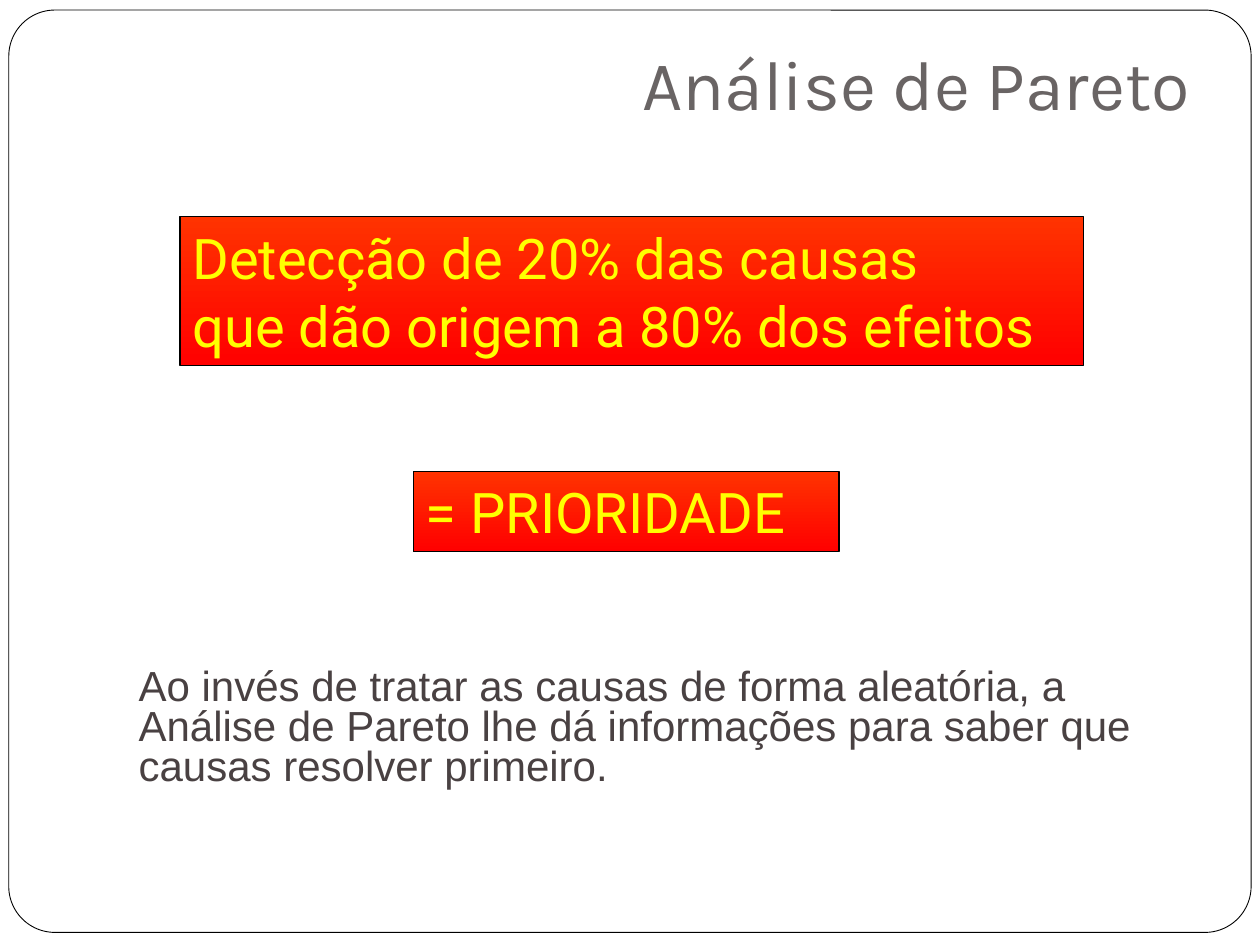
from dataclasses import dataclass

import pptx
import pptx.dml.color
import pptx.enum.shapes
import pptx.enum.text
import pptx.util

COLORS = {
    "paper": "FFFFFF",
    "outline": "000000",
    "title": "696464",
    "body": "494142",
    "highlight": "FFFF00",
    "banner_top": "FF3300",
    "banner_bottom": "FF0000",
}
CELL = 0.1  # inches: the slide is a grid of 100 columns by 75 rows
COLUMNS, ROWS = 100, 75
Shapes = pptx.enum.shapes.MSO_SHAPE
Anchor = pptx.enum.text.MSO_ANCHOR


@dataclass(frozen=True)
class Area:
    column: float
    row: float
    columns: float
    rows: float

    def lengths(self) -> list[int]:
        return [cells(n) for n in (self.column, self.row, self.columns, self.rows)]


@dataclass(frozen=True)
class Banner:
    area: Area
    lines: tuple[str, ...]


BANNERS = (
    Banner(Area(14.3, 17.2, 71.7, 11.8),
           ("Detecção de 20% das causas", "que dão origem a 80% dos efeitos")),
    Banner(Area(32.8, 37.4, 33.8, 6.4), ("= PRIORIDADE",)),
)


def cells(count: float) -> int:
    return pptx.util.Inches(count * CELL)


def color(name: str) -> pptx.dml.color.RGBColor:
    return pptx.dml.color.RGBColor.from_string(COLORS[name])


def write(box, *lines: str, font: str, size: float, ink: str,
          anchor=Anchor.TOP, bottom: float = 0.5, indent: float = 0,
          spacing: float = 1.0) -> None:
    """Fill a box with one left-aligned paragraph per line."""
    frame = box.text_frame
    frame.word_wrap = True
    frame.vertical_anchor = anchor
    frame.margin_left, frame.margin_right = cells(1 + indent), cells(1)
    frame.margin_top, frame.margin_bottom = cells(0.5), cells(bottom)
    for index, line in enumerate(lines):
        para = frame.add_paragraph() if index else frame.paragraphs[0]
        para.alignment = pptx.enum.text.PP_ALIGN.LEFT
        para.line_spacing = spacing
        span = para.add_run()
        span.text = line
        span.font.name = font
        span.font.size = pptx.util.Pt(size)
        span.font.color.rgb = color(ink)


def add_outlined(page, kind, area: Area, width: float):
    shape = page.shapes.add_shape(kind, *area.lengths())
    shape.shadow.inherit = False
    shape.line.color.rgb = color("outline")
    shape.line.width = pptx.util.Pt(width)
    return shape


def add_frame(page) -> None:
    frame = add_outlined(page, Shapes.ROUNDED_RECTANGLE, Area(0.7, 0.8, 98.6, 73.2), 0.5)
    frame.adjustments[0] = 0.05
    frame.fill.solid()
    frame.fill.fore_color.rgb = color("paper")


def add_banner(page, banner: Banner) -> None:
    shape = add_outlined(page, Shapes.RECTANGLE, banner.area, 0.75)
    shape.fill.gradient()
    shape.fill.gradient_angle = 270
    for stop, name in zip(shape.fill.gradient_stops, ("banner_top", "banner_bottom")):
        stop.color.rgb = color(name)
    write(shape, *banner.lines, font="Roboto", size=32, ink="highlight",
          anchor=Anchor.MIDDLE)


def main() -> None:
    deck = pptx.Presentation()
    deck.slide_width, deck.slide_height = cells(COLUMNS), cells(ROWS)
    page = deck.slides.add_slide(deck.slide_layouts[6])
    add_frame(page)
    title = page.shapes.add_textbox(*Area(50, 3.1, 47.7, 7.8).lengths())
    write(title, "Análise de Pareto", font="Karla", size=40, ink="title",
          anchor=Anchor.BOTTOM, bottom=1)
    for banner in BANNERS:
        add_banner(page, banner)
    body = page.shapes.add_textbox(*Area(7, 52.6, 85.2, 10.7).lengths())
    write(body,
          "Ao invés de tratar as causas de forma aleatória, a Análise de Pareto "
          "lhe dá informações para saber que causas resolver primeiro.",
          font="Arial", size=24, ink="body", indent=3, spacing=0.8)
    deck.save("out.pptx")


if __name__ == "__main__":
    main()
